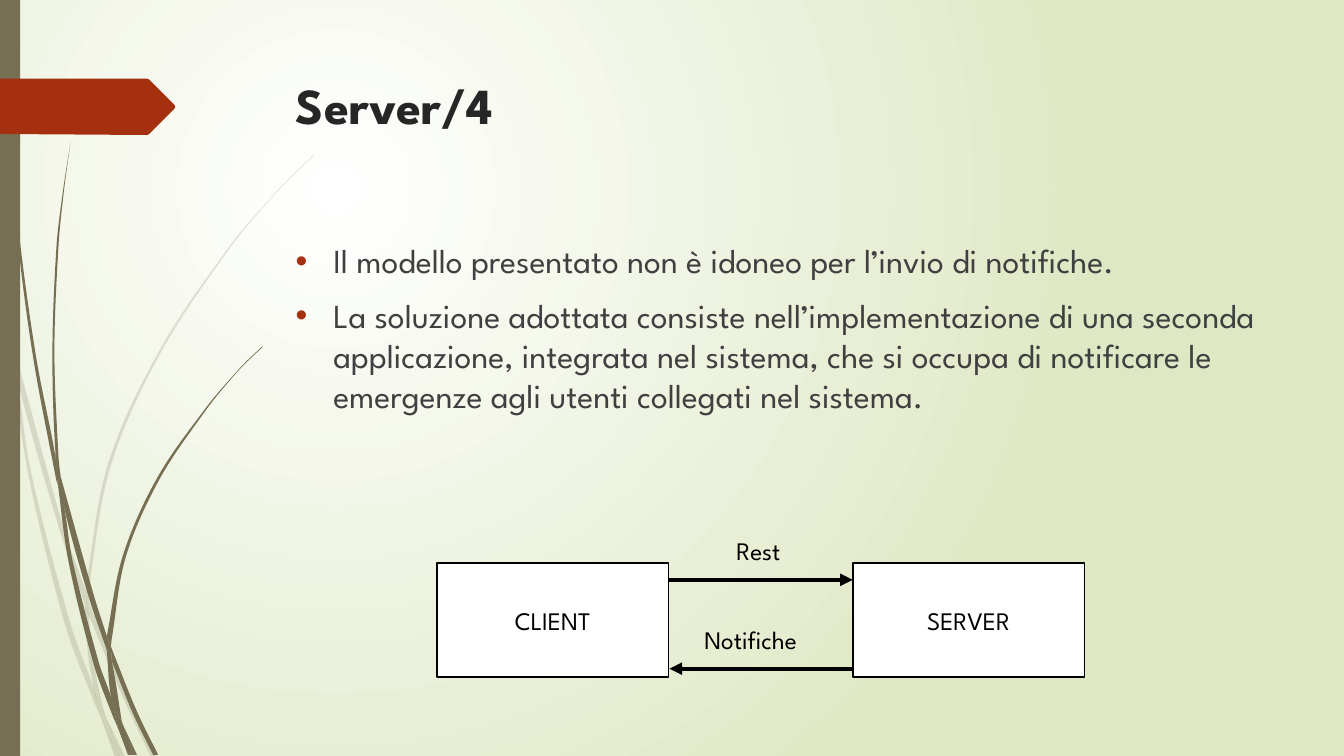
from dataclasses import dataclass
from math import dist

from lxml.etree import SubElement
from pptx import Presentation
from pptx.dml.color import RGBColor
from pptx.enum.shapes import MSO_CONNECTOR as Line, MSO_SHAPE as Preset
from pptx.enum.text import MSO_ANCHOR as Anchor, PP_ALIGN as Align
from pptx.oxml.ns import qn
from pptx.util import Cm, Pt

FONT = "League Spartan"
OLIVE, RUST, BLACK, WHITE = "766F54", "A53010", "000000", "FFFFFF"
GRID = 0.0254  # outlines are plotted on a grid of 0.0254 cm
Points = list[tuple[float, float]]


@dataclass
class Blade:
    left: Points
    right: Points


@dataclass
class Label:
    text: str
    left: float
    top: float
    width: float
    height: float


@dataclass
class Arrow:
    start: float
    end: float
    y: float


# Pieces of grass, each between a left and a right edge
PALE_BLADES = [
    Blade([(0, 299), (10, 344), (11, 350)], [(0, 282), (9, 322), (11, 350)]),
    Blade([(14, 345), (17, 376), (58, 522), (84, 599)], [(14, 345), (62, 520), (85, 586)]),
    Blade([(88, 610), (123, 694), (150, 751)], [(88, 596), (92, 607), (127, 692), (155, 751)]),
    Blade([(105, 711), (119, 751)], [(105, 711), (124, 751)]),
    Blade([(11, 350), (28, 470), (65, 621), (92, 693), (101, 714)],
          [(11, 350), (17, 376), (31, 469), (70, 619), (93, 683), (99, 707), (101, 714)]),
    Blade([(84, 599), (87, 646), (93, 683), (96, 692), (105, 711)],
          [(88, 608), (91, 646), (103, 706), (105, 711)]),
    Blade([(312, 153), (289, 175), (268, 197), (228, 244), (158, 348), (107, 461), (85, 584),
           (85, 586)],
          [(312, 154), (290, 175), (268, 198), (229, 245), (160, 349), (110, 462), (88, 584),
           (88, 596)]),
    Blade([(101, 714), (114, 751)], [(101, 714), (119, 751)]),
    Blade([(85, 586), (84, 599)], [(88, 596), (88, 610)]),
    Blade([(93, 683), (99, 707), (101, 714), (119, 751)],
          [(93, 683), (96, 692), (105, 711), (119, 751)]),
]
DARK_BLADES = [
    Blade([(3, 0), (4, 48), (7, 110), (17, 233), (33, 355), (56, 477), (57, 481)],
          [(4, 0), (5, 48), (8, 109), (19, 232), (36, 355), (55, 453), (57, 481)]),
    Blade([(60, 472), (64, 505), (88, 592), (106, 645)], [(60, 472), (93, 590), (106, 631)]),
    Blade([(111, 656), (132, 708), (152, 749)], [(110, 641), (113, 649), (136, 706), (157, 749)]),
    Blade([(57, 477), (68, 557), (93, 659), (111, 708), (117, 722)],
          [(57, 477), (64, 505), (72, 556), (98, 657), (110, 691), (116, 717), (117, 722)]),
    Blade([(70, 141), (62, 193), (56, 245), (52, 349), (55, 449), (60, 472)],
          [(70, 141), (63, 193), (58, 245), (54, 349), (58, 453), (60, 472)]),
    Blade([(122, 719), (133, 749)], [(122, 719), (136, 749)]),
    Blade([(55, 449), (55, 453), (57, 477), (64, 505)], [(55, 449), (60, 472), (64, 505)]),
    Blade([(260, 344), (245, 358), (231, 373), (204, 405), (156, 474), (122, 551), (106, 631)],
          [(261, 344), (245, 359), (231, 374), (205, 406), (158, 476), (125, 552), (111, 633),
           (110, 641)]),
    Blade([(117, 722), (127, 749)], [(117, 722), (131, 749)]),
    Blade([(106, 645), (110, 691), (116, 706), (122, 719)],
          [(106, 645), (111, 656), (121, 716), (122, 719)]),
    Blade([(106, 631), (106, 645)], [(110, 641), (111, 656)]),
    Blade([(110, 691), (116, 717), (117, 722), (130, 749)],
          [(110, 691), (116, 706), (122, 719), (133, 749)]),
]
BANNER = [(0, 78), (146, 78), (148, 79), (173, 104), (174, 106), (173, 108),
          (148, 133), (146, 134), (0, 133)]

BOXES = [Label("CLIENT", 11.01, 14.19, 5.84, 2.87), Label("SERVER", 21.49, 14.19, 5.84, 2.87)]
ARROWS = [Arrow(16.87, 21.49, 14.61), Arrow(21.49, 16.87, 16.85)]
CAPTIONS = [Label("Rest", 18.31, 13.36, 2.54, 1.02), Label("Notifiche", 17.5, 15.61, 3.35, 1.02)]
BODY = [
    "Il modello presentato non è idoneo per l’invio di notifiche.",
    "La soluzione adottata consiste nell’implementazione di una seconda applicazione, "
    "integrata nel sistema, che si occupa di notificare le emergenze agli utenti "
    "collegati nel sistema.",
]


def color(value: str) -> RGBColor:
    return RGBColor.from_string(value)


def bezier(points: Points) -> Points:
    """Give two control points and an end point for each step of a smooth edge."""
    padded = [points[0], *points, points[-1]]
    curve = []
    for a, b, c, d in zip(padded, padded[1:], padded[2:], padded[3:]):
        leave, arrive = (dist(b, c) / 3 / dist(*ends) for ends in ((a, c), (b, d)))
        curve += [(b[0] + leave * (c[0] - a[0]), b[1] + leave * (c[1] - a[1])),
                  (c[0] - arrive * (d[0] - b[0]), c[1] - arrive * (d[1] - b[1])), c]
    return curve


def paint(shape, fill: str, opacity: int = 100) -> None:
    shape.shadow.inherit = False
    shape.fill.solid()
    shape.fill.fore_color.rgb = color(fill)
    shape.line.fill.background()
    if opacity < 100:
        tone = shape._element.spPr.find(qn("a:solidFill"))[0]
        SubElement(tone, qn("a:alpha"), val=str(opacity * 1000))


def draw_outline(slide, points: Points, fill: str, opacity: int = 100):
    corners = [(Cm(x * GRID), Cm(y * GRID)) for x, y in points]
    builder = slide.shapes.build_freeform(*corners[0])
    builder.add_line_segments(corners[1:])
    shape = builder.convert_to_shape()
    paint(shape, fill, opacity)
    return shape


def draw_blade(slide, blade: Blade, opacity: int) -> None:
    down, up = bezier(blade.left), bezier(blade.right[::-1])
    points = [blade.left[0], *down, blade.right[-1], *up]
    shape = draw_outline(slide, points, OLIVE, opacity)
    steps = list(shape._element.iter(qn("a:lnTo")))
    for edge in (steps[:len(down)], steps[len(down) + 1:len(points) - 1]):
        for first, second, end in zip(edge[::3], edge[1::3], edge[2::3]):
            first.tag = qn("a:cubicBezTo")
            first.extend([second[0], end[0]])
            for merged in (second, end):
                merged.getparent().remove(merged)


def write(paragraph, text: str, *, size: float = 18, ink: str = BLACK, bold: bool = False,
          align: Align = Align.LEFT, before: float = 0, bullet: str = "") -> None:
    paragraph.alignment = align
    paragraph.space_before = Pt(before)
    run = paragraph.add_run()
    run.text = text
    run.font.name, run.font.size, run.font.bold = FONT, Pt(size), bold
    run.font.color.rgb = color(ink)
    if bullet:
        properties = paragraph._p.get_or_add_pPr()
        properties.set("marL", str(Cm(0.95)))
        properties.set("indent", str(-Cm(0.95)))
        SubElement(SubElement(properties, qn("a:buClr")), qn("a:srgbClr"), val=RUST)
        SubElement(properties, qn("a:buFont"), typeface="Arial")
        SubElement(properties, qn("a:buChar"), char=bullet)


def write_box(slide, left: float, top: float, width: float, height: float,
              texts: list[str], **style) -> None:
    frame = slide.shapes.add_textbox(Cm(left), Cm(top), Cm(width), Cm(height)).text_frame
    frame.word_wrap = True
    for index, text in enumerate(texts):
        write(frame.add_paragraph() if index else frame.paragraphs[0], text, **style)


def draw_box(slide, box: Label) -> None:
    shape = slide.shapes.add_shape(Preset.RECTANGLE, Cm(box.left), Cm(box.top),
                                   Cm(box.width), Cm(box.height))
    paint(shape, WHITE)
    shape.line.color.rgb, shape.line.width = color(BLACK), Pt(1.25)
    shape.text_frame.vertical_anchor = Anchor.MIDDLE
    write(shape.text_frame.paragraphs[0], box.text, align=Align.CENTER)


def draw_arrow(slide, arrow: Arrow) -> None:
    connector = slide.shapes.add_connector(Line.STRAIGHT, Cm(arrow.start), Cm(arrow.y),
                                           Cm(arrow.end), Cm(arrow.y))
    connector.line.color.rgb, connector.line.width = color(BLACK), Pt(3)
    SubElement(connector.line._get_or_add_ln(), qn("a:tailEnd"), type="triangle")
    SubElement(connector._element.spPr, qn("a:effectLst"))


def set_background(slide) -> None:
    fill = slide.background.fill
    fill.gradient()
    for stop, position, tone in zip(fill.gradient_stops, (0, 1), (WHITE, "DFE8C4")):
        stop.position, stop.color.rgb = position, color(tone)
    gradient = slide._element.cSld.find(".//" + qn("a:gradFill"))
    gradient.remove(gradient.find(qn("a:lin")))
    circle = SubElement(gradient, qn("a:path"), path="circle")
    SubElement(circle, qn("a:fillToRect"), l="50000", t="50000", r="100000", b="100000")
    gradient.find(qn("a:gsLst")).addnext(circle)


def main() -> None:
    presentation = Presentation()
    presentation.slide_width, presentation.slide_height = Cm(33.87), Cm(19.05)
    slide = presentation.slides.add_slide(presentation.slide_layouts[6])
    # Decoration
    set_background(slide)
    for blades, opacity in ((PALE_BLADES, 20), (DARK_BLADES, 100)):
        for blade in blades:
            draw_blade(slide, blade, opacity)
    bar = slide.shapes.add_shape(Preset.RECTANGLE, 0, 0, Cm(0.51), presentation.slide_height)
    paint(bar, OLIVE)
    draw_outline(slide, BANNER, RUST)
    # Title and bullets
    write_box(slide, 7.21, 1.75, 24.77, 3.56, ["Server/4"], size=36, ink="262626", bold=True)
    write_box(slide, 7.2, 5.93, 24.77, 10.49, BODY, size=24, ink="404040", before=10, bullet="•")
    # Client and server diagram
    for box in BOXES:
        draw_box(slide, box)
    for arrow in ARROWS:
        draw_arrow(slide, arrow)
    for caption in CAPTIONS:
        write_box(slide, caption.left, caption.top, caption.width, caption.height, [caption.text])
    presentation.save("out.pptx")


if __name__ == "__main__":
    main()
